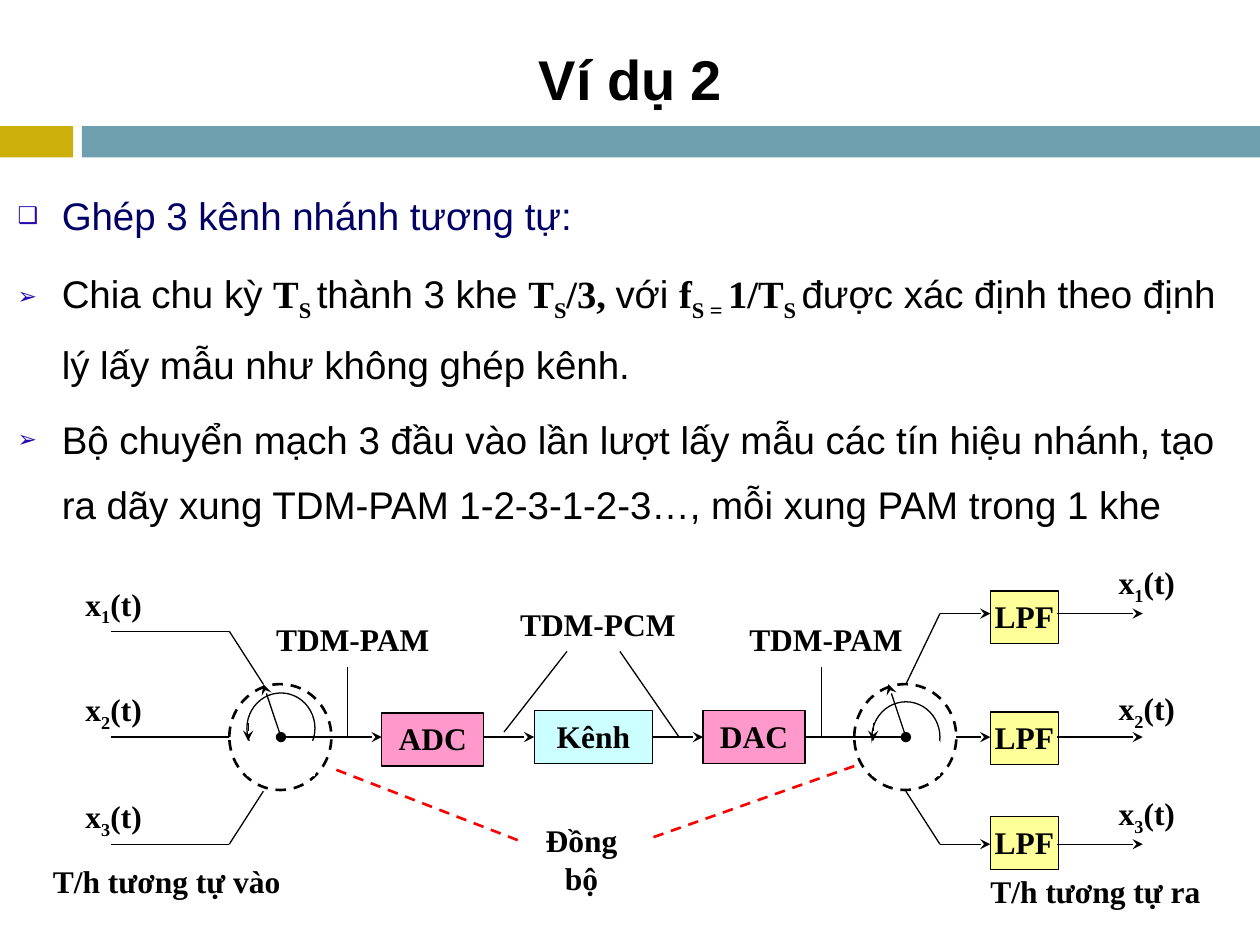
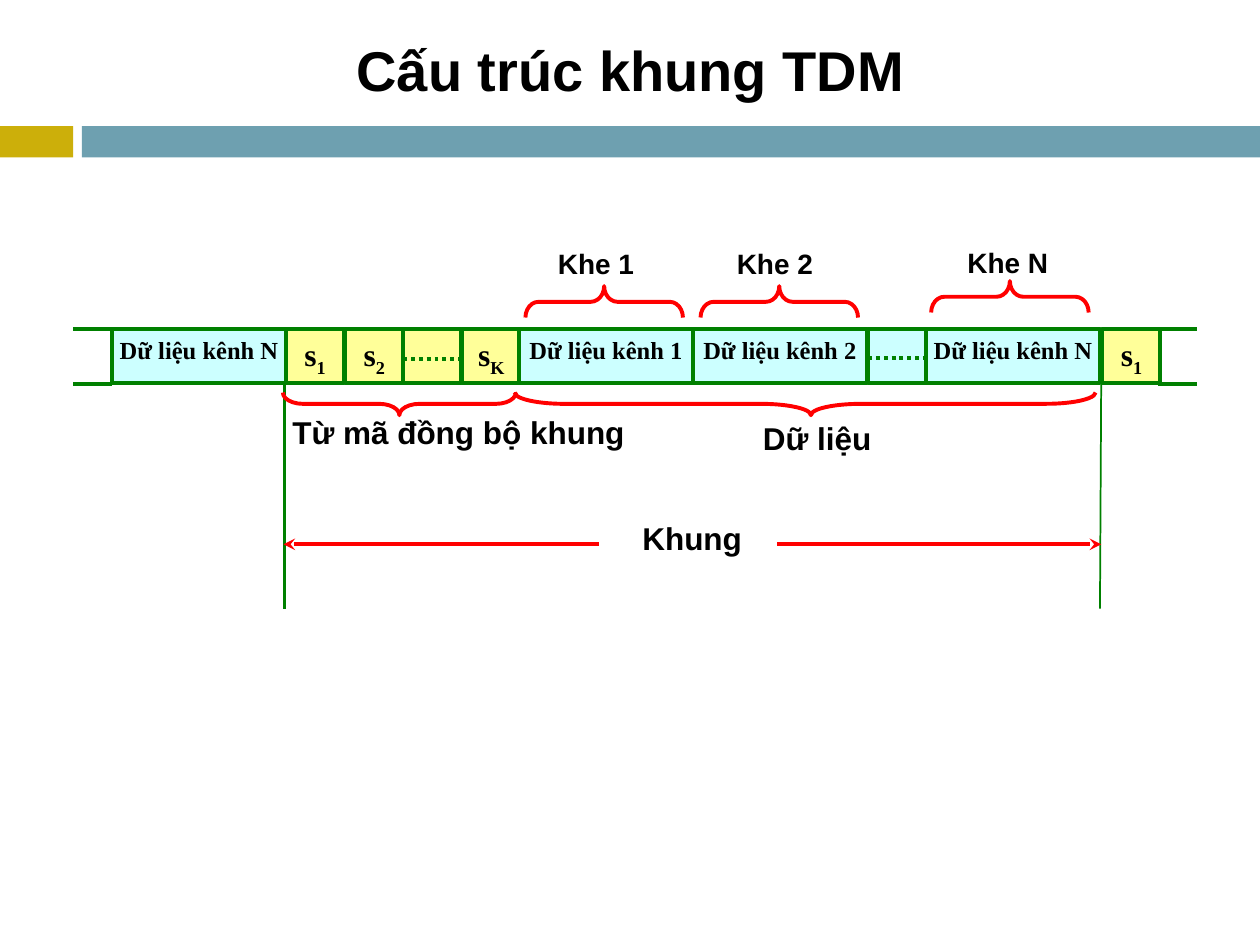
from dataclasses import dataclass
from typing import NamedTuple

from lxml import etree
from pptx import Presentation
from pptx import util as u
from pptx.dml.color import RGBColor
from pptx.enum import dml, shapes, text
from pptx.oxml.ns import qn

PX = 9144  # one px is a hundredth of an inch
SANS, SERIF = "Arial", "Times New Roman"
BLACK, WHITE, RED, GREEN = "000000", "FFFFFF", "FF0000", "008000"
NAVY, BULLET_BLUE = "000066", "2909AF"
GOLD, TEAL = "CCAF0A", "6EA0B0"
PINK, CYAN, YELLOW = "FF99CC", "CCFFFF", "FFFF99"
CENTER, LEFT = text.PP_ALIGN.CENTER, text.PP_ALIGN.LEFT
DASH, DOTS = dml.MSO_LINE.DASH, dml.MSO_LINE.ROUND_DOT
SHAPE = shapes.MSO_SHAPE


class Box(NamedTuple):
    left: int
    top: int
    width: int
    height: int


class Run(NamedTuple):
    text: str
    font: str = SANS
    bold: bool = False
    sub: bool = False


class Wire(NamedTuple):
    x1: int
    y1: int
    x2: int
    y2: int
    tail: str = ""
    head: str = ""


@dataclass
class Block:
    """Text in a box; every second piece is a subscript."""
    box: Box
    pieces: tuple[str, ...]
    fill: str = ""
    size: int = 18
    font: str = SERIF
    align: int = CENTER
    pad: int = 0
    border: str = BLACK
    weight: float = 0.75


@dataclass
class Brace:
    """A horizontal brace, given by the box it covers on the slide."""
    preset: int
    box: Box
    curl: float
    tip: float = 0.5


def color(value: str) -> RGBColor:
    return RGBColor.from_string(value)


def emu(box: Box) -> list[int]:
    return [length * PX for length in box]


def add_run(paragraph, run: Run, size: int, tint: str = BLACK) -> None:
    piece = paragraph.add_run()
    piece.text = run.text
    font = piece.font
    font.name, font.size, font.bold = run.font, u.Pt(size), run.bold
    font.color.rgb = color(tint)
    if run.sub:
        font._element.set("baseline", "-25000")


def add_figure(slide, preset, box: Box, fill="", border="", weight=0.75, dash=None):
    figure = slide.shapes.add_shape(preset, *emu(box))
    figure.shadow.inherit = False
    if fill:
        figure.fill.solid()
        figure.fill.fore_color.rgb = color(fill)
    else:
        figure.fill.background()
    if border:
        figure.line.color.rgb = color(border)
        figure.line.width = u.Pt(weight)
        figure.line.dash_style = dash
    else:
        figure.line.fill.background()
    return figure


def add_block(slide, block: Block) -> None:
    if block.fill:
        holder = add_figure(slide, SHAPE.RECTANGLE, block.box, block.fill,
                            block.border, block.weight)
    else:
        holder = slide.shapes.add_textbox(*emu(block.box))
    frame = holder.text_frame
    frame.word_wrap = True
    frame.vertical_anchor = text.MSO_ANCHOR.TOP
    frame.margin_left = frame.margin_right = block.pad * PX
    frame.margin_top = frame.margin_bottom = 5 * PX
    paragraph = frame.paragraphs[0]
    paragraph.alignment = block.align
    for index, piece in enumerate(block.pieces):
        add_run(paragraph, Run(piece, block.font, True, index % 2 == 1), block.size)


def add_wires(slide, wires: list[Wire], tint=BLACK, weight=0.75, dash=None) -> None:
    for wire in wires:
        link = slide.shapes.add_connector(
            shapes.MSO_CONNECTOR.STRAIGHT, *[length * PX for length in wire[:4]])
        link.line.color.rgb = color(tint)
        link.line.width = u.Pt(weight)
        link.line.dash_style = dash
        properties = link._element.spPr
        outline = properties.find(qn("a:ln"))
        for tag, kind in (("a:headEnd", wire.head), ("a:tailEnd", wire.tail)):
            if kind:
                etree.SubElement(outline, qn(tag), type=kind)
        etree.SubElement(properties, qn("a:effectLst"))


def add_brace(slide, brace: Brace) -> None:
    left, top, span, depth = brace.box
    shift = (span - depth) // 2
    figure = add_figure(slide, brace.preset, Box(left + shift, top - shift, depth, span),
                        border=RED, weight=2.25)
    figure.rotation = 270
    figure.adjustments[0], figure.adjustments[1] = brace.curl, brace.tip


def add_bands(prs, slide) -> None:
    """Draw the two bands and hand them to the slide master."""
    bands = ((Box(0, 100, 58, 25), GOLD), (Box(65, 100, 935, 25), TEAL))
    for order, (box, fill) in enumerate(bands):
        band = add_figure(slide, SHAPE.RECTANGLE, box, fill).element
        band.nvSpPr.cNvPr.set("id", str(20 + order))
        prs.slide_master.shapes.element.insert(2 + order, band)


def place(holder, box: Box):
    holder.left, holder.top, holder.width, holder.height = emu(box)
    holder.text_frame.auto_size = text.MSO_AUTO_SIZE.NONE
    return holder.text_frame


def set_title(slide, title: str, height: int) -> None:
    frame = place(slide.shapes.title, Box(42, 17, 917, height))
    frame.vertical_anchor = text.MSO_ANCHOR.MIDDLE
    frame.paragraphs[0].alignment = CENTER
    add_run(frame.paragraphs[0], Run(title, bold=True), 32)


def add_bullet(paragraph, mark: str) -> None:
    paragraph.line_spacing = 1.4
    paragraph.space_before = u.Pt(6)
    properties = paragraph._p.get_or_add_pPr()
    properties.set("marL", str(35 * PX))
    properties.set("indent", str(-35 * PX))
    tint = etree.SubElement(properties, qn("a:buClr"))
    etree.SubElement(tint, qn("a:srgbClr"), val=BULLET_BLUE)
    etree.SubElement(properties, qn("a:buSzPct"), val="60000")
    etree.SubElement(properties, qn("a:buFont"), typeface=SANS)
    etree.SubElement(properties, qn("a:buChar"), char=mark)


def add_switch(slide, left: int, dial_top: int) -> None:
    """A rotary switch: dashed rim, half a dial and a pointer."""
    add_figure(slide, SHAPE.OVAL, Box(left, 543, 81, 84), WHITE, BLACK, 1.5, DASH)
    add_figure(slide, SHAPE.OVAL, Box(left + 14, dial_top, 54, 56), WHITE, BLACK)
    add_figure(slide, SHAPE.RECTANGLE, Box(left + 14, 588, 54, 28), WHITE)
    add_wires(slide, [Wire(left + 15, 574, left + 15, 588, "stealth"),
                      Wire(left + 41, 585, left + 27, 543, "stealth")])


def signal(number: int, left: int, top: int) -> Block:
    return Block(Box(left, top, 81, 42), ("x", str(number), "(t)"), align=LEFT, pad=10)


def fill_theory(slide) -> None:
    def symbol(letters: str) -> Run:
        return Run(letters, SERIF, True)

    def index(letters: str) -> Run:
        return Run(letters, SERIF, True, True)

    points = [
        ("❑", NAVY, [Run("Ghép 3 kênh nhánh tương tự:")]),
        ("➢", BLACK, [
            Run("Chia chu kỳ "), symbol("T"), index("S "), Run("thành 3 khe "),
            symbol("T"), index("S"), symbol("/3, "), Run("với "), symbol("f"),
            index("S = "), symbol("1/T"), index("S "),
            Run("được xác định theo định lý lấy mẫu như không ghép kênh.")]),
        ("➢", BLACK, [Run("Bộ chuyển mạch 3 đầu vào lần lượt lấy mẫu các tín hiệu nhánh, "
                          "tạo ra dãy xung TDM-PAM 1-2-3-1-2-3…, mỗi xung PAM trong 1 khe")]),
    ]
    frame = place(slide.placeholders[1], Box(4, 133, 992, 293))
    for order, (mark, tint, runs) in enumerate(points):
        paragraph = frame.add_paragraph() if order else frame.paragraphs[0]
        add_bullet(paragraph, mark)
        for run in runs:
            add_run(paragraph, run, 22, tint)


def build_example(slide) -> None:
    set_title(slide, "Ví dụ 2", 90)
    fill_theory(slide)
    add_switch(slide, 182, 550)
    add_switch(slide, 678, 557)

    for number, level in enumerate((501, 585, 670), 1):
        add_block(slide, signal(number, 58, level - 42))
        add_wires(slide, [Wire(88, level, 182, level)])
    outputs = ((487, 469, 442, 746), (585, 565, 542, 759), (670, 648, 625, 746))
    for number, (level, filter_top, label_top, start) in enumerate(outputs, 1):
        add_block(slide, signal(number, 878, label_top))
        add_block(slide, Block(Box(786, filter_top, 54, 42), ("LPF",), YELLOW))
        add_wires(slide, [Wire(start, level, 786, level, "stealth"),
                          Wire(839, level, 907, level, "stealth")])

    add_wires(slide, [
        Wire(182, 501, 209, 543), Wire(182, 670, 209, 628),
        Wire(719, 543, 746, 487), Wire(719, 628, 746, 670),
        Wire(223, 585, 303, 585, "stealth", "oval"),
        Wire(384, 585, 424, 585, "stealth"), Wire(518, 585, 558, 585, "stealth"),
        Wire(638, 585, 719, 585, "oval"),
        Wire(276, 529, 276, 585), Wire(652, 529, 652, 585),
        Wire(450, 517, 400, 581), Wire(492, 517, 539, 585),
    ])
    add_wires(slide, [Wire(267, 611, 414, 668), Wire(678, 608, 517, 665)], RED, 1.5, DASH)
    for block in (
        Block(Box(303, 566, 81, 42), ("ADC",), PINK),
        Block(Box(424, 564, 94, 42), ("Kênh",), CYAN),
        Block(Box(558, 564, 81, 42), ("DAC",), PINK),
        Block(Box(208, 487, 144, 56), ("TDM-PAM",)),
        Block(Box(407, 475, 135, 56), ("TDM-PCM",)),
        Block(Box(586, 487, 139, 56), ("TDM-PAM",)),
        Block(Box(408, 647, 107, 56), ("Đồng bộ",), pad=10),
        Block(Box(42, 679, 208, 38), ("T/h tương tự vào",), align=LEFT),
        Block(Box(763, 687, 213, 40), ("T/h tương tự ra",)),
    ):
        add_block(slide, block)


def build_frame(slide) -> None:
    set_title(slide, "Cấu trúc khung TDM", 75)
    wide, narrow = 138, 46
    sync_cells = ((227, ("s", "1")), (274, ("s", "2")), (320, ()),
                  (367, ("s", "K")), (875, ("s", "1")))
    data_cells = ((89, wide, "Dữ liệu kênh N"), (412, wide, "Dữ liệu kênh 1"),
                  (550, wide, "Dữ liệu kênh 2"), (689, narrow, ""),
                  (735, wide, "Dữ liệu kênh N"))
    cells = [Block(Box(left, 261, narrow, 43), name, YELLOW) for left, name in sync_cells]
    cells += [Block(Box(left, 261, width, 43), (name,) if name else (), CYAN, 14)
              for left, width, name in data_cells]
    for cell in cells:
        cell.border, cell.weight = GREEN, 2.25
        add_block(slide, cell)

    add_wires(slide, [Wire(left, level, left + 31, level)
                      for left in (58, 919) for level in (261, 305)]
              + [Wire(edge, 261, edge, 304) for edge in (227, 873)], GREEN, 2.25)
    add_wires(slide, [Wire(320, 285, 366, 285), Wire(689, 284, 735, 284)], GREEN, 2.25, DOTS)
    add_wires(slide, [Wire(226, 303, 226, 483)], GREEN, 1.5)
    add_wires(slide, [Wire(874, 303, 873, 483)], GREEN, 1)
    add_wires(slide, [Wire(617, 432, 874, 432, "stealth"),
                      Wire(475, 432, 225, 432, "stealth")], RED, 2.25)

    add_brace(slide, Brace(SHAPE.LEFT_BRACE, Box(225, 311, 185, 18), 0.88))
    add_brace(slide, Brace(SHAPE.LEFT_BRACE, Box(409, 311, 461, 18), 2.19, 0.51))
    slots = (("Khe 1", 417, 433, 191), ("Khe 2", 556, 575, 191), ("Khe N", 739, 758, 190))
    for name, brace_left, label_left, label_top in slots:
        brace_top = 223 if name == "Khe N" else 227
        add_brace(slide, Brace(SHAPE.RIGHT_BRACE, Box(brace_left, brace_top, 125, 25), 0.42))
        add_block(slide, Block(Box(label_left, label_top, 100, 37), (name,), size=16,
                               font=SANS, align=LEFT, pad=10))
    for block in (
        Block(Box(232, 323, 369, 43), ("Từ mã đồng bộ khung",), font=SANS, align=LEFT),
        Block(Box(575, 328, 147, 43), ("Dữ liệu",), font=SANS),
        Block(Box(500, 407, 134, 43), ("Khung",), font=SANS, align=LEFT, pad=10),
    ):
        add_block(slide, block)


def main() -> None:
    prs = Presentation()
    prs.slide_width, prs.slide_height = 1000 * PX, 750 * PX
    example = prs.slides.add_slide(prs.slide_layouts[1])
    add_bands(prs, example)
    build_example(example)
    build_frame(prs.slides.add_slide(prs.slide_layouts[5]))
    prs.save("out.pptx")


if __name__ == "__main__":
    main()
